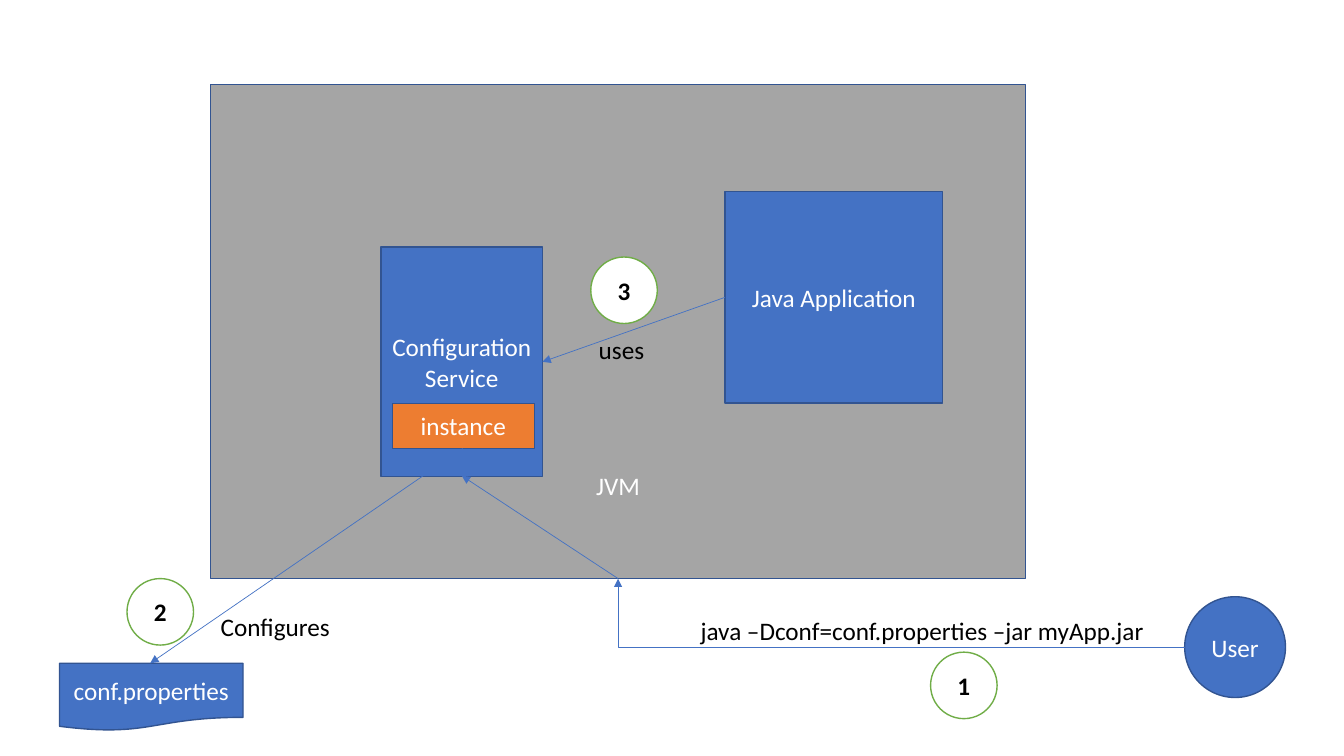
from dataclasses import dataclass

from pptx import Presentation
from pptx.dml.color import RGBColor
from pptx.enum.shapes import MSO_CONNECTOR, MSO_SHAPE
from pptx.enum.text import MSO_ANCHOR, MSO_AUTO_SIZE, PP_ALIGN
from pptx.oxml.ns import qn
from pptx.oxml.xmlchemy import OxmlElement
from pptx.util import Inches, Pt

BLUE = RGBColor(0x44, 0x72, 0xC4)
DARK_BLUE = RGBColor(0x32, 0x54, 0x91)
GRAY = RGBColor(0xA5, 0xA5, 0xA5)
ORANGE = RGBColor(0xED, 0x7D, 0x31)
GREEN = RGBColor(0x70, 0xAD, 0x47)
WHITE = RGBColor(0xFF, 0xFF, 0xFF)
BLACK = RGBColor(0x00, 0x00, 0x00)

FONT = "Calibri"
BADGE_SIZE = 0.66
LABEL_HEIGHT = 0.4
HALF_TURN = "10800000"


@dataclass
class Box:
    text: str
    left: float
    top: float
    width: float
    height: float
    fill: RGBColor = BLUE
    line: RGBColor = DARK_BLUE
    color: RGBColor = WHITE
    kind: MSO_SHAPE = MSO_SHAPE.RECTANGLE
    bold: bool = False
    bottom_inset: float | None = None  # set: text sits this far above the bottom


@dataclass
class Label:
    text: str
    left: float
    top: float
    width: float


@dataclass
class Arrow:
    start: tuple[float, float]
    end: tuple[float, float]


def badge(number: int, left: float, top: float) -> Box:
    return Box(str(number), left, top, BADGE_SIZE, BADGE_SIZE,
               WHITE, GREEN, BLACK, MSO_SHAPE.OVAL, bold=True)


BOXES = [
    Box("JVM", 2.09, 0.84, 8.08, 4.9, GRAY, bottom_inset=0.77),
    Box("Java Application", 7.19, 1.9, 2.16, 2.1),
    Box("ConfigurationService", 3.78, 2.45, 1.6, 2.28),
    Box("instance", 3.89, 4, 1.41, 0.45, ORANGE),
    Box("User", 11.75, 5.92, 1, 1, kind=MSO_SHAPE.OVAL),
    Box("conf.properties", 0.59, 6.58, 1.82, 0.67,
        kind=MSO_SHAPE.FLOWCHART_DOCUMENT),
    badge(1, 9.23, 6.47),
    badge(2, 1.26, 5.74),
    badge(3, 5.86, 2.55),
]
LABELS = [
    Label("java –Dconf=conf.properties –jar myApp.jar", 6.85, 6.06, 4.64),
    Label("Configures", 2.09, 6.02, 1.3),
    Label("uses", 5.84, 3.27, 0.66),
]
ARROWS = [
    Arrow((4.59, 4.45), (1.49, 6.58)),
    Arrow((7.19, 2.95), (5.38, 3.59)),
    Arrow((6.13, 5.74), (4.58, 4.72)),
]
USER_TO_JVM = Arrow((11.75, 6.42), (6.13, 5.74))


def write(frame, text: str, color: RGBColor, bold: bool = False) -> None:
    frame.text = text
    font = frame.paragraphs[0].runs[0].font
    font.name, font.size, font.bold = FONT, Pt(18), bold
    font.color.rgb = color


def draw_box(slide, box: Box) -> None:
    shape = slide.shapes.add_shape(
        box.kind, Inches(box.left), Inches(box.top),
        Inches(box.width), Inches(box.height))
    shape.shadow.inherit = False
    shape.fill.solid()
    shape.fill.fore_color.rgb = box.fill
    shape.line.color.rgb = box.line
    shape.line.width = Pt(1)
    frame = shape.text_frame
    frame.word_wrap = True
    frame.vertical_anchor = MSO_ANCHOR.MIDDLE
    if box.bottom_inset is not None:
        frame.vertical_anchor = MSO_ANCHOR.BOTTOM
        frame.margin_bottom = Inches(box.bottom_inset)
    write(frame, box.text, box.color, box.bold)
    frame.paragraphs[0].alignment = PP_ALIGN.CENTER


def draw_label(slide, label: Label) -> None:
    box = slide.shapes.add_textbox(
        Inches(label.left), Inches(label.top),
        Inches(label.width), Inches(LABEL_HEIGHT))
    box.text_frame.word_wrap = False
    box.text_frame.auto_size = MSO_AUTO_SIZE.SHAPE_TO_FIT_TEXT
    write(box.text_frame, label.text, BLACK)


def draw_arrow(slide, arrow: Arrow, kind=MSO_CONNECTOR.STRAIGHT):
    connector = slide.shapes.add_connector(
        kind, *map(Inches, arrow.start + arrow.end))
    connector.line.color.rgb = BLUE
    connector.line.width = Pt(0.5)
    head = OxmlElement("a:tailEnd")
    head.set("type", "triangle")
    connector.line._get_or_add_ln().append(head)
    connector._element.spPr.append(OxmlElement("a:effectLst"))
    return connector


def draw_corner_arrow(slide, arrow: Arrow) -> None:
    """Go left, then up: the one-bend preset turned by half a circle."""
    turned = Arrow(arrow.end, arrow.start)
    properties = draw_arrow(slide, turned, MSO_CONNECTOR.ELBOW)._element.spPr
    properties.find(qn("a:prstGeom")).set("prst", "bentConnector2")
    frame = properties.find(qn("a:xfrm"))
    frame.set("rot", HALF_TURN)


def main() -> None:
    deck = Presentation()
    deck.slide_width, deck.slide_height = Inches(13.33), Inches(7.5)
    slide = deck.slides.add_slide(deck.slide_layouts[6])

    # Components and step numbers
    for box in BOXES:
        draw_box(slide, box)

    # Flow between them
    draw_corner_arrow(slide, USER_TO_JVM)
    for arrow in ARROWS:
        draw_arrow(slide, arrow)

    # Captions
    for label in LABELS:
        draw_label(slide, label)

    deck.save("out.pptx")


if __name__ == "__main__":
    main()
